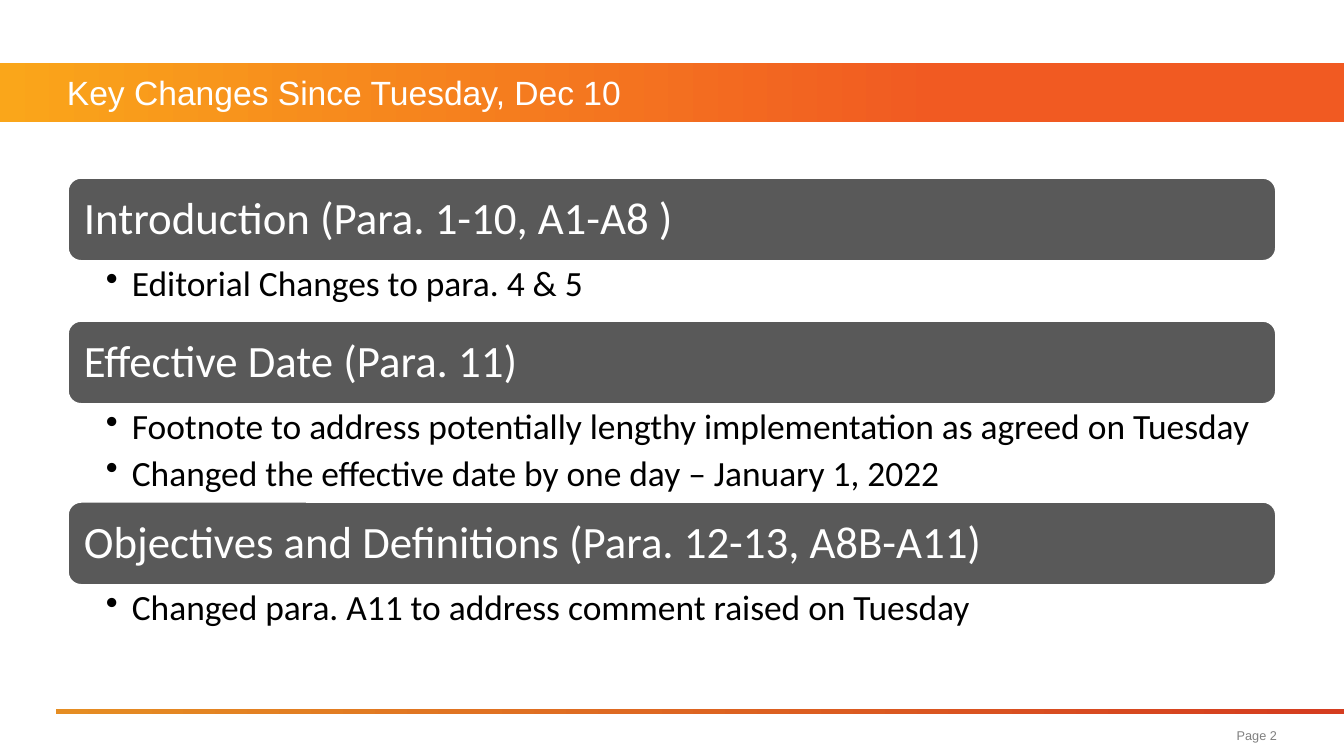
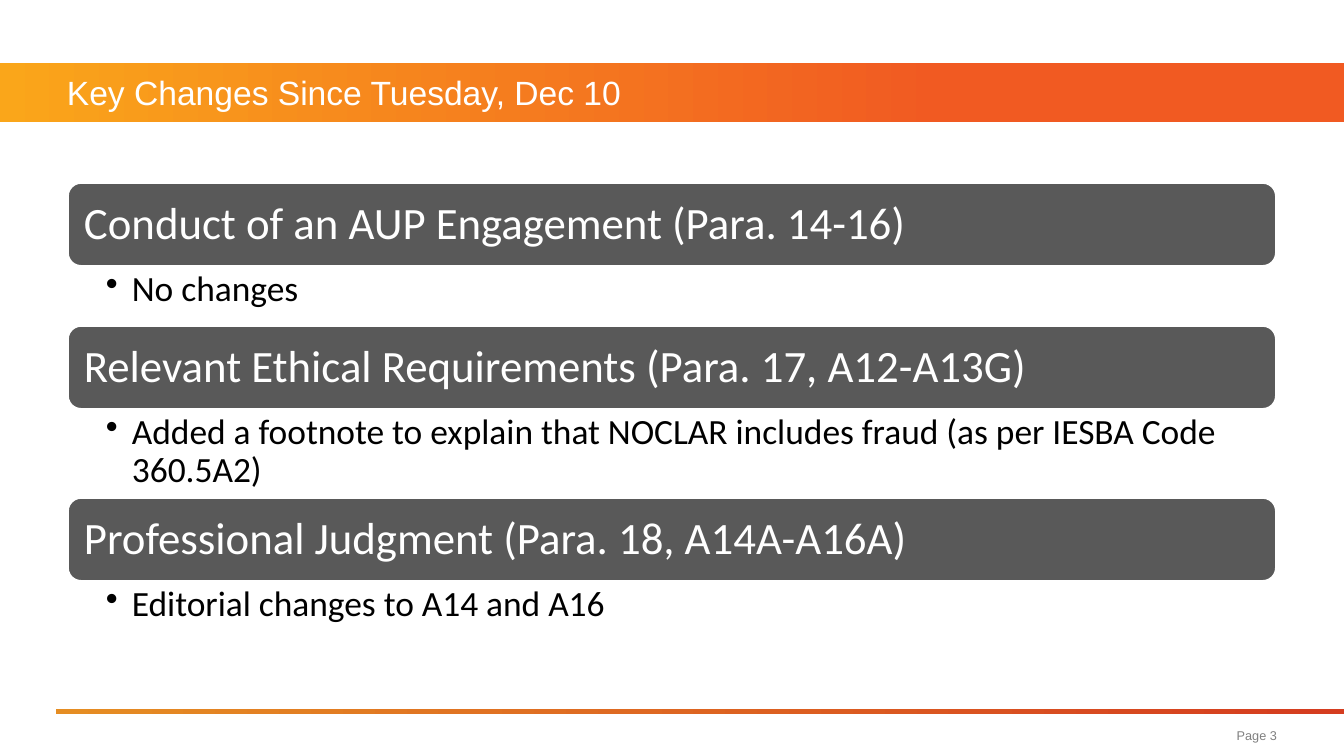
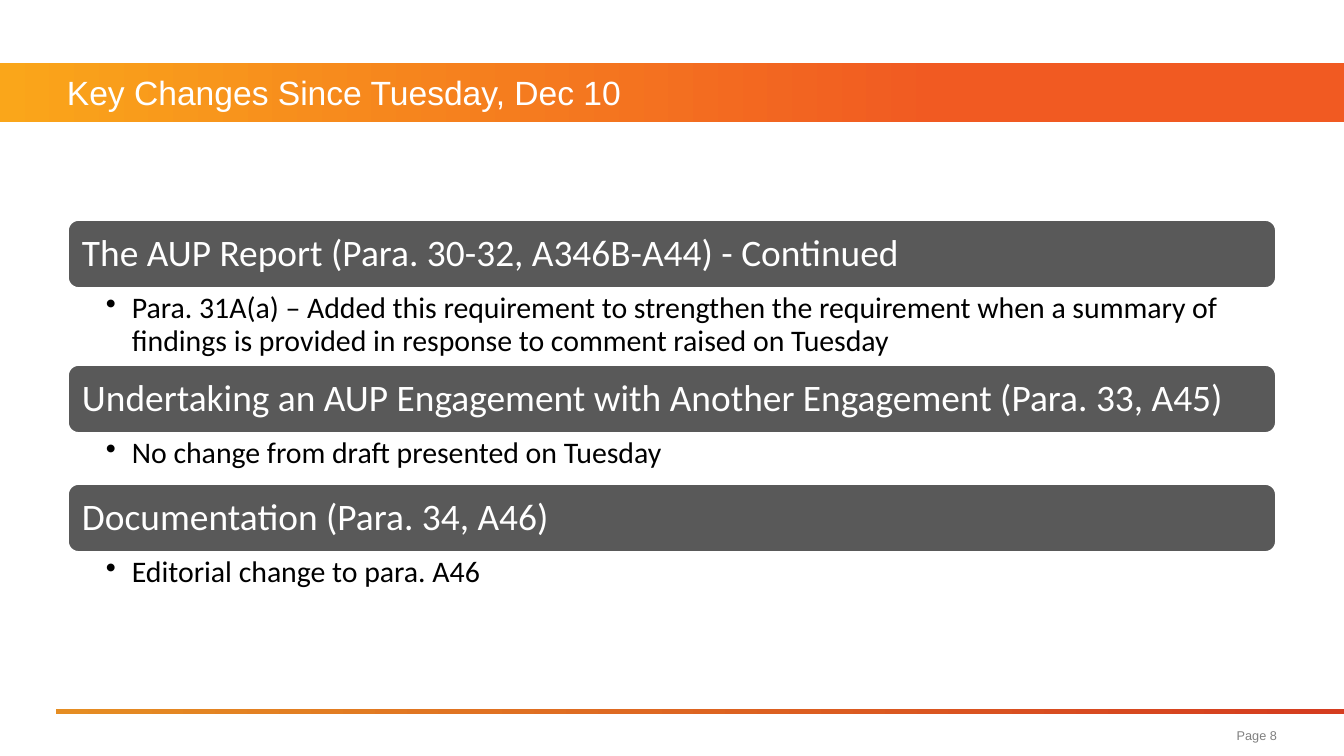
from lxml import etree
from pptx import Presentation
from pptx.dml.color import RGBColor
from pptx.enum.shapes import MSO_SHAPE as Shape
from pptx.enum.text import MSO_ANCHOR as Anchor, PP_ALIGN as Align
from pptx.oxml.ns import qn
from pptx.util import Emu, Pt

TITLE = "Key Changes Since Tuesday, Dec 10"

# page number, style, then (heading, bullets, height of the bullets in px)
PAGES = [
    (2, "large", [
        ("Introduction (Para. 1-10, A1-A8 )",
         ["Editorial Changes to para. 4 & 5"], 58),
        ("Effective Date (Para. 11)",
         ["Footnote to address potentially lengthy implementation as agreed on Tuesday",
          "Changed the effective date by one day – January 1, 2022"], 96),
        ("Objectives and Definitions (Para. 12-13, A8B-A11)",
         ["Changed para. A11 to address comment raised on Tuesday"], 58),
    ]),
    (3, "large", [
        ("Conduct of an AUP Engagement (Para. 14-16)",
         ["No changes"], 58),
        ("Relevant Ethical Requirements (Para. 17, A12-A13G)",
         ["Added a footnote to explain that NOCLAR includes fraud "
          "(as per IESBA Code 360.5A2)"], 87),
        ("Professional Judgment (Para. 18, A14A-A16A)",
         ["Editorial changes to A14 and A16"], 58),
    ]),
    (8, "small", [
        ("The AUP Report (Para. 30-32, A346B-A44) - Continued",
         ["Para. 31A(a) – Added this requirement to strengthen the requirement "
          "when a summary of findings is provided in response to comment "
          "raised on Tuesday"], 75),
        ("Undertaking an AUP Engagement with Another Engagement (Para. 33, A45)",
         ["No change from draft presented on Tuesday"], 49),
        ("Documentation (Para. 34, A46)",
         ["Editorial change to para. A46"], 49),
    ]),
]

# bar height, heading size, bullet size, heading inset, right inset of bullets
STYLES = {"large": (85, 24, 19, 13, 26), "small": (70, 20, 16, 11, 21)}

AMBER = RGBColor(0xFA, 0xA6, 0x1A)
ORANGE = RGBColor(0xF1, 0x5A, 0x22)
GOLD = RGBColor(0xE5, 0x8D, 0x23)
RED = RGBColor(0xD5, 0x3D, 0x20)
DARK = RGBColor(0x59, 0x59, 0x59)
GRAY = RGBColor(0x80, 0x80, 0x80)
WHITE = RGBColor(0xFF, 0xFF, 0xFF)
BLACK = RGBColor(0, 0, 0)

WIDE, HIGH = 1344, 756
LEFT, SPAN = 67, 1210       # content column
MIDDLE = 411                # the stack of sections is centred here
EDGE = 4                    # small inset around texts
HANG = 26                   # hanging indent of bullets


def px(n):
    return Emu(round(n * 914400 / 134.4))


def add_box(slide, kind, area):
    box = slide.shapes.add_shape(kind, *map(px, area))
    box.shadow.inherit = False
    return box


def add_fade(slide, area, stops):
    """Add a borderless rectangle with a left-to-right gradient."""
    box = add_box(slide, Shape.RECTANGLE, area)
    box.line.fill.background()
    box.fill.gradient()
    box.fill.gradient_angle = 0
    for stop, (spot, color) in zip(box.fill.gradient_stops, stops):
        stop.position = spot
        stop.color.rgb = color


def add_text(slide, area, lines, size, color, font="Calibri", pads=(0, 0, 0, 0),
             anchor=Anchor.MIDDLE, align=Align.LEFT, tight=False, bullet=False):
    frame = slide.shapes.add_textbox(*map(px, area)).text_frame
    frame.word_wrap = True
    frame.vertical_anchor = anchor
    (frame.margin_left, frame.margin_top,
     frame.margin_right, frame.margin_bottom) = map(px, pads)
    for i, line in enumerate(lines):
        para = frame.add_paragraph() if i else frame.paragraphs[0]
        para.alignment = align
        if tight:
            para.line_spacing = 0.9
        if bullet:
            para.level = 1
            para.space_after = Pt(round(size * 0.23, 1))
            props = para._p.get_or_add_pPr()
            props.set("marL", str(px(HANG)))
            props.set("indent", str(-px(HANG)))
            etree.SubElement(props, qn("a:buChar")).set("char", "•")
        run = para.add_run()
        run.text = line
        run.font.name = font
        run.font.size = Pt(size)
        run.font.color.rgb = color


def add_frame(slide, number):
    """Draw the title band, the rule and the page number."""
    add_fade(slide, (0, 63, WIDE, 59), [(0, AMBER), (0.7, ORANGE)])
    add_fade(slide, (56, 709, WIDE - 56, 5), [(0, GOLD), (0.99, RED)])
    add_text(slide, (LEFT, 63, SPAN, 59), [TITLE], 18, WHITE, "Arial")
    add_text(slide, (LEFT + SPAN - 406, 718, 406, 34), [f"Page {number}"],
             6.8, GRAY, "Arial", align=Align.RIGHT)


def add_stack(slide, style, parts):
    """Stack heading bars and their bullets, centred as a whole."""
    bar, big, small, pad, right = STYLES[style]
    total = sum(bar + tall for _, _, tall in parts)
    top = (2 * MIDDLE - total) // 2
    for head, items, tall in parts:
        box = add_box(slide, Shape.ROUNDED_RECTANGLE, (LEFT, top, SPAN, bar))
        box.fill.solid()
        box.fill.fore_color.rgb = DARK
        box.line.color.rgb = WHITE
        box.line.width = Pt(2)
        inner = (LEFT + EDGE, top + EDGE, SPAN - 2 * EDGE, bar - 2 * EDGE)
        add_text(slide, inner, [head], big, WHITE, pads=(pad,) * 4, tight=True)
        top += bar
        add_text(slide, (LEFT, top, SPAN, tall), items, small, BLACK,
                 pads=(39, EDGE, right, EDGE), anchor=Anchor.TOP,
                 tight=True, bullet=True)
        top += tall


def main():
    deck = Presentation()
    deck.slide_width, deck.slide_height = px(WIDE), px(HIGH)
    for number, style, parts in PAGES:
        slide = deck.slides.add_slide(deck.slide_layouts[6])
        add_frame(slide, number)
        add_stack(slide, style, parts)
    deck.save("out.pptx")


if __name__ == "__main__":
    main()
